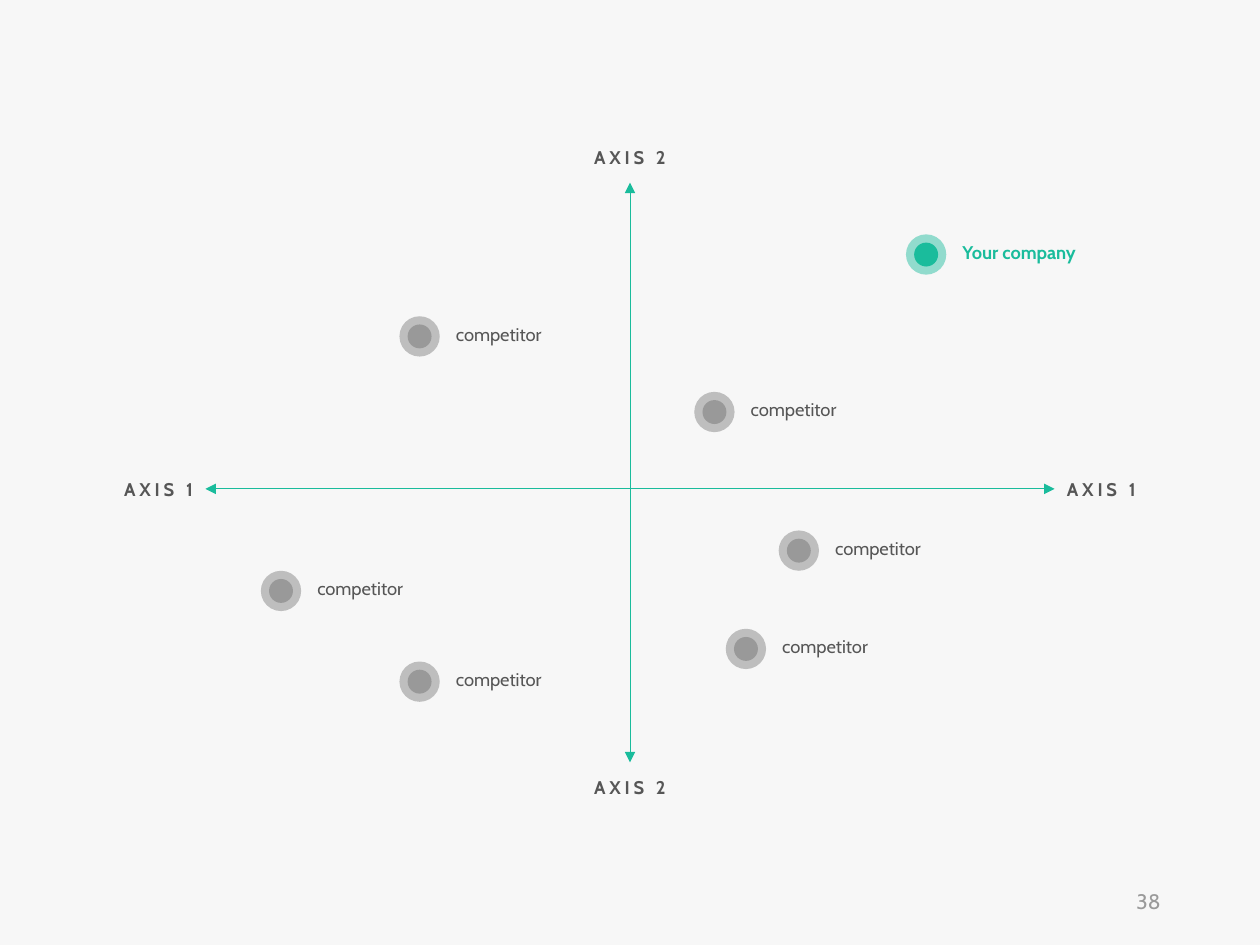
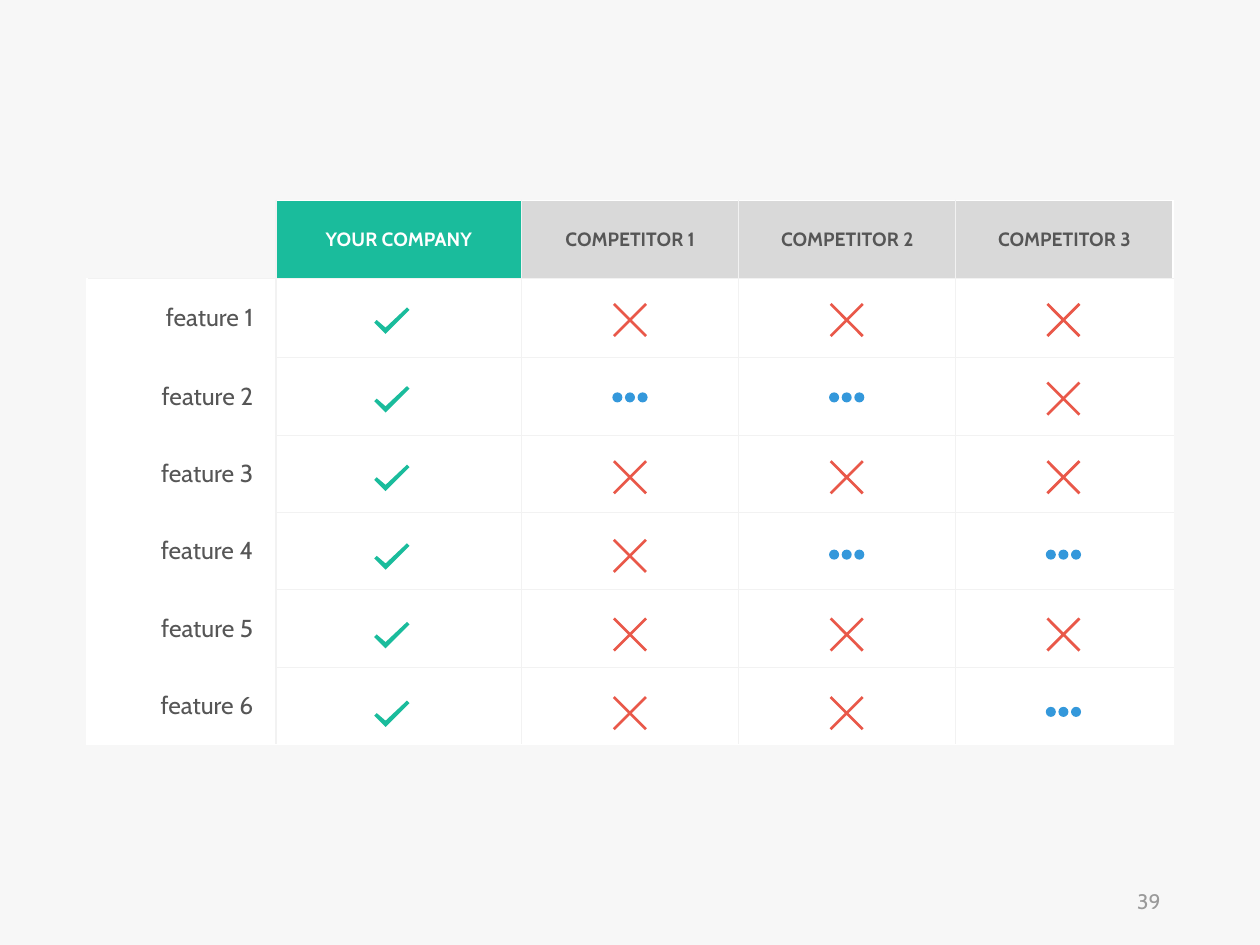
import dataclasses
import typing

import lxml.etree
import pptx
import pptx.dml.color
import pptx.enum.dml
import pptx.enum.shapes
import pptx.enum.text
import pptx.oxml.ns
import pptx.util

Inches = pptx.util.Inches
Align = pptx.enum.text.PP_ALIGN
Shape = pptx.enum.shapes.MSO_SHAPE
qn = pptx.oxml.ns.qn


@dataclasses.dataclass(frozen=True)
class Theme:
    font: str = "Cabin"
    back: str = "F7F7F7"
    white: str = "FFFFFF"
    green: str = "1ABC9C"
    dark: str = "565656"
    page: str = "9A9A9A"
    head: str = "D9D9D9"
    grid: str = "F2F2F2"
    blue: str = "3498DB"
    red: str = "E95849"
    label_size: float = 10.5
    head_size: float = 11
    row_size: float = 14
    page_size: float = 12
    axis_line: float = 0.5
    grid_line: float = 0.75
    edge_line: float = 1


THEME = Theme()


@dataclasses.dataclass(frozen=True)
class Style:
    size: float
    color: str
    bold: bool = False
    align: Align = Align.LEFT
    space: float = 0


@dataclasses.dataclass(frozen=True)
class Box:
    left: float
    top: float
    wide: float = 1.4
    high: float = 0.28


@dataclasses.dataclass(frozen=True)
class Firm:
    left: float
    top: float
    text: str = "competitor"
    color: str = THEME.dark
    bold: bool = False
    ring: int = 35
    core: int = 35


@dataclasses.dataclass(frozen=True)
class Axis:
    text: str
    box: Box
    align: Align


FIRMS = (
    Firm(7.19, 1.86, "Your company", THEME.green, True, 46, 100),
    Firm(5.51, 3.11),
    Firm(6.18, 4.21),
    Firm(5.76, 4.99),
    Firm(2.07, 4.53),
    Firm(3.17, 5.25),
    Firm(3.17, 2.51),
)
AXES = (
    Axis("AXIS 2", Box(4.3, 1.11), Align.CENTER),
    Axis("AXIS 2", Box(4.3, 6.11), Align.CENTER),
    Axis("AXIS 1", Box(0.23, 3.74), Align.RIGHT),
    Axis("AXIS 1", Box(8.37, 3.74), Align.LEFT),
)

HEADS = ("", "YOUR COMPANY", "COMPETITOR 1", "COMPETITOR 2", "COMPETITOR 3")
MARKS = (
    ("check", "cross", "cross", "cross"),
    ("check", "dots", "dots", "cross"),
    ("check", "cross", "cross", "cross"),
    ("check", "cross", "dots", "dots"),
    ("check", "cross", "cross", "cross"),
    ("check", "cross", "cross", "dots"),
)
MARK_X = (3.11, 5, 6.72, 8.44)
FIRST_Y, LAST_Y = 2.54, 5.66
TABLE = Box(0.69, 1.59, 8.62, 4.32)
CHECK = ((0.12, -0.1), (-0.05, 0.06), (-0.12, 0), (-0.14, 0.02),
         (-0.05, 0.11), (0.14, -0.08))
CROSS_SPAN, CROSS_BAR = 0.27, 0.03


def rgb(color: str) -> pptx.dml.color.RGBColor:
    return pptx.dml.color.RGBColor.from_string(color)


def add_run(para: typing.Any, text: str, style: Style) -> None:
    para.alignment = style.align
    run = para.add_run()
    run.text = text
    run.font.name = THEME.font
    run.font.size = pptx.util.Pt(style.size)
    run.font.bold = style.bold
    run.font.color.rgb = rgb(style.color)
    if style.space:
        run._r.get_or_add_rPr().set("spc", str(round(style.space * 100)))


def add_text(shapes: typing.Any, box: Box, text: str, style: Style,
             grow: bool = True) -> typing.Any:
    shape = shapes.add_textbox(Inches(box.left), Inches(box.top),
                               Inches(box.wide), Inches(box.high))
    frame = shape.text_frame
    frame.word_wrap = True
    frame.vertical_anchor = pptx.enum.text.MSO_ANCHOR.MIDDLE
    if grow:
        frame.auto_size = pptx.enum.text.MSO_AUTO_SIZE.SHAPE_TO_FIT_TEXT
    add_run(frame.paragraphs[0], text, style)
    return shape


def paint(shape: typing.Any, color: str, alpha: int = 100) -> None:
    shape.shadow.inherit = False
    shape.fill.solid()
    shape.fill.fore_color.rgb = rgb(color)
    shape.line.fill.background()
    if alpha < 100:
        tint = shape._element.spPr.find(qn("a:solidFill"))[0]
        lxml.etree.SubElement(tint, qn("a:alpha")).set("val", str(alpha * 1000))


def add_disc(shapes: typing.Any, x: float, y: float, size: float,
             color: str, alpha: int = 100) -> None:
    disc = shapes.add_shape(Shape.OVAL, Inches(x - size / 2), Inches(y - size / 2),
                            Inches(size), Inches(size))
    paint(disc, color, alpha)


def add_arrow(shapes: typing.Any, x1: float, y1: float,
              x2: float, y2: float) -> typing.Any:
    line = shapes.add_connector(pptx.enum.shapes.MSO_CONNECTOR.STRAIGHT,
                                Inches(x1), Inches(y1), Inches(x2), Inches(y2))
    line.line.color.rgb = rgb(THEME.green)
    line.line.width = pptx.util.Pt(THEME.axis_line)
    stroke = line.line._get_or_add_ln()
    for end in ("a:headEnd", "a:tailEnd"):
        lxml.etree.SubElement(stroke, qn(end)).set("type", "triangle")
    lxml.etree.SubElement(line._element.spPr, qn("a:effectLst"))
    return line


def add_firm(shapes: typing.Any, firm: Firm) -> None:
    group = shapes.add_group_shape().shapes
    x, y = firm.left + 0.16, firm.top + 0.16
    add_disc(group, x, y, 0.32, firm.color, firm.ring)
    add_disc(group, x, y, 0.19, firm.color, firm.core)
    add_text(group, Box(firm.left + 0.35, firm.top), firm.text,
             Style(THEME.label_size, firm.color, firm.bold))


def add_path(shapes: typing.Any, x: float, y: float,
             points: typing.Sequence[tuple[float, float]], color: str) -> None:
    spots = [(Inches(x + dx), Inches(y + dy)) for dx, dy in points]
    pen = shapes.build_freeform(*spots[0])
    pen.add_line_segments(spots[1:], close=True)
    paint(pen.convert_to_shape(), color)


def cross_points() -> list[tuple[float, float]]:
    reach, notch = CROSS_SPAN / 2, CROSS_BAR / 2
    arm = reach - notch
    turn = [(reach, -arm), (arm, -reach), (0, -notch)]
    points = []
    for _ in range(4):
        points += turn
        turn = [(y, -x) for x, y in turn]
    return points


def add_mark(shapes: typing.Any, kind: str, x: float, y: float) -> None:
    if kind == "check":
        add_path(shapes, x, y, CHECK, THEME.green)
    elif kind == "cross":
        add_path(shapes, x, y, cross_points(), THEME.red)
    else:
        group = shapes.add_group_shape().shapes
        for step in (-1, 0, 1):
            add_disc(group, x + step * 0.1, y - 0.01, 0.08, THEME.blue)


def cell_edges(row: int, col: int) -> dict[str, str | None]:
    last = row == len(MARKS)
    left = THEME.grid if col else (THEME.white if row else None)
    right = THEME.white if col == len(HEADS) - 1 else THEME.grid
    if col:
        top = THEME.grid if row else THEME.white
        base = THEME.white if last else THEME.grid
    else:
        top = THEME.grid if row == 1 else None
        base = THEME.white if last else (None if row else THEME.grid)
    return {"a:lnL": left, "a:lnR": right, "a:lnT": top, "a:lnB": base}


def set_edges(cell: typing.Any, row: int, col: int) -> None:
    props = cell._tc.get_or_add_tcPr()
    for tag, color in cell_edges(row, col).items():
        line = lxml.etree.SubElement(props, qn(tag))
        if color is None:
            lxml.etree.SubElement(line, qn("a:noFill"))
            continue
        width = THEME.edge_line if color == THEME.white else THEME.grid_line
        line.set("w", str(pptx.util.Pt(width)))
        fill = lxml.etree.SubElement(line, qn("a:solidFill"))
        lxml.etree.SubElement(fill, qn("a:srgbClr")).set("val", color)


def fill_cell(cell: typing.Any, row: int, col: int) -> None:
    set_edges(cell, row, col)
    cell.vertical_anchor = pptx.enum.text.MSO_ANCHOR.MIDDLE
    cell.margin_left = Inches(0.07)
    cell.margin_right = Inches(0.07 if col else 0.18)
    cell.margin_top = cell.margin_bottom = Inches(0.04)
    if row == col == 0:
        cell.fill.background()
        return
    para = cell.text_frame.paragraphs[0]
    color = THEME.white
    if row == 0:
        color = THEME.green if col == 1 else THEME.head
        ink = THEME.white if col == 1 else THEME.dark
        add_run(para, HEADS[col], Style(THEME.head_size, ink, True, Align.CENTER))
    elif col == 0:
        add_run(para, f"feature {row}",
                Style(THEME.row_size, THEME.dark, align=Align.RIGHT))
    cell.fill.solid()
    cell.fill.fore_color.rgb = rgb(color)


def add_grid(shapes: typing.Any) -> None:
    rows, cols = len(MARKS) + 1, len(HEADS)
    table = shapes.add_table(rows, cols, Inches(TABLE.left), Inches(TABLE.top),
                             Inches(TABLE.wide), Inches(TABLE.high)).table
    table.first_row = table.horz_banding = False
    wides, highs = [1.5, 1.95], [0.62, 0.63]
    wides += [(TABLE.wide - sum(wides)) / (cols - 2)] * (cols - 2)
    highs += [(TABLE.high - sum(highs)) / (rows - 2)] * (rows - 2)
    for col, wide in enumerate(wides):
        table.columns[col].width = Inches(wide)
    for row, high in enumerate(highs):
        table.rows[row].height = Inches(high)
        for col in range(cols):
            fill_cell(table.cell(row, col), row, col)


def add_page(deck: typing.Any, number: int) -> typing.Any:
    shapes = deck.slides.add_slide(deck.slide_layouts[6]).shapes
    add_text(shapes, Box(7.06, 6.95, 2.25, 0.4), str(number),
             Style(THEME.page_size, THEME.page, align=Align.RIGHT), grow=False)
    return shapes


def draw_map(shapes: typing.Any) -> None:
    ends = [add_text(shapes, axis.box, axis.text,
                     Style(THEME.label_size, THEME.dark, True, axis.align, 2.2))
            for axis in AXES]
    add_arrow(shapes, 5, 1.45, 5, 6.05)
    across = add_arrow(shapes, 1.63, 3.88, 8.37, 3.88)
    across.begin_connect(ends[2], 3)
    across.end_connect(ends[3], 1)
    for firm in FIRMS:
        add_firm(shapes, firm)


def draw_table(shapes: typing.Any) -> None:
    add_grid(shapes)
    step = (LAST_Y - FIRST_Y) / (len(MARKS) - 1)
    for row, kinds in enumerate(MARKS):
        for x, kind in zip(MARK_X, kinds):
            add_mark(shapes, kind, x, FIRST_Y + row * step)


def main() -> None:
    deck = pptx.Presentation()
    deck.slide_width, deck.slide_height = Inches(10), Inches(7.5)
    back = deck.slide_master.background.fill
    back.solid()
    back.fore_color.rgb = rgb(THEME.back)
    draw_map(add_page(deck, 38))
    draw_table(add_page(deck, 39))
    deck.save("out.pptx")


if __name__ == "__main__":
    main()
